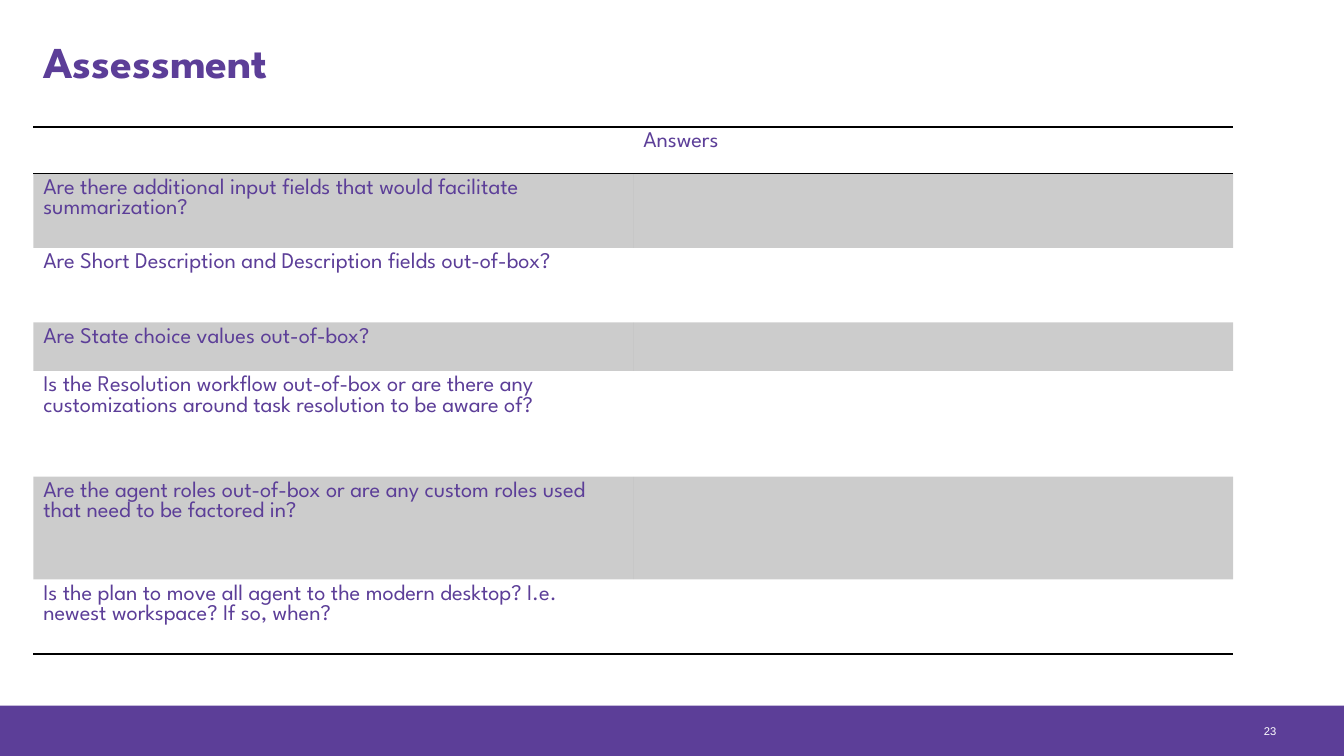
from lxml.etree import SubElement
from pptx import Presentation
from pptx.dml.color import RGBColor
from pptx.enum.shapes import MSO_SHAPE
from pptx.enum.text import MSO_ANCHOR, PP_ALIGN
from pptx.oxml.ns import qn
from pptx.util import Inches, Pt

PURPLE = RGBColor(0x5C, 0x3E, 0x98)
WHITE = RGBColor(0xFF, 0xFF, 0xFF)
BLACK = RGBColor(0x00, 0x00, 0x00)
PLAIN_TABLE_STYLE = "{2D5ABB26-0587-4C30-8999-92F81FD0307C}"
HEADING_FONT = {"name": "League Spartan", "size": Pt(31.5), "bold": True}
CELL_FONT = {"name": "League Spartan", "size": Pt(16), "bold": False}
NUMBER_FONT = {"name": "Arial", "size": Pt(8)}
ROWS = [
    (0.46, "", "Answers"),
    (0.74, "Are there additional input fields that would facilitate summarization?", ""),
    (0.74, "Are Short Description and Description fields out-of-box?", ""),
    (0.48, "Are State choice values out-of-box?", ""),
    (1.05, "Is the Resolution workflow out-of-box or are there any customizations "
           "around task resolution to be aware of?", ""),
    (1.02, "Are the agent roles out-of-box or are any custom roles used that need "
           "to be factored in?", ""),
    (0.74, "Is the plan to move all agent to the modern desktop? I.e. newest "
           "workspace? If so, when?", ""),
]


def write(frame, text, font, color, align=PP_ALIGN.LEFT):
    """Put one formatted paragraph into a text frame."""
    para = frame.paragraphs[0]
    para.alignment = align
    span = para.add_run()
    span.text = text
    for name, value in font.items():
        setattr(span.font, name, value)
    span.font.color.rgb = color


def add_title(page, text):
    """Place and format the title placeholder."""
    title = page.shapes.title
    place = {"left": 0.33, "top": 0.29, "width": 12.59, "height": 0.74}
    for name, value in place.items():
        setattr(title, name, Inches(value))
    title.text_frame.vertical_anchor = MSO_ANCHOR.TOP
    write(title.text_frame, text, HEADING_FONT, PURPLE)


def add_footer(page, number):
    """Draw the purple band and the page number on it."""
    band = page.shapes.add_shape(
        MSO_SHAPE.RECTANGLE, 0, Inches(7), Inches(13.33), Inches(0.51))
    band.shadow.inherit = False
    band.fill.solid()
    band.fill.fore_color.rgb = PURPLE
    band.line.fill.background()
    box = page.shapes.add_textbox(Inches(11.16), Inches(7), Inches(1.5), Inches(0.5))
    frame = box.text_frame
    frame.word_wrap = True
    frame.vertical_anchor = MSO_ANCHOR.MIDDLE
    frame.margin_right = 0
    write(frame, number, NUMBER_FONT, WHITE, PP_ALIGN.RIGHT)


def add_borders(cell, edges):
    """Rule the given edges of a cell in black."""
    properties = cell._tc.get_or_add_tcPr()
    for position, edge in enumerate(edges):
        line = properties.makeelement(qn(f"a:{edge}"), {"w": str(Pt(1))})
        properties.insert(position, line)
        fill = SubElement(line, qn("a:solidFill"))
        SubElement(fill, qn("a:srgbClr"), val=str(BLACK))


def fill_cell(cell, shaded):
    """Shade a cell in translucent black or leave it clear."""
    if not shaded:
        cell.fill.background()
        return
    cell.fill.solid()
    cell.fill.fore_color.rgb = BLACK
    color = cell._tc.tcPr.find(f"{qn('a:solidFill')}/{qn('a:srgbClr')}")
    SubElement(color, qn("a:alpha"), val="20000")


def add_questions(page):
    """Build the table of questions and answers."""
    height = sum(row[0] for row in ROWS)
    holder = page.shapes.add_table(
        len(ROWS), 2, Inches(0.33), Inches(1.26), Inches(11.9), Inches(height))
    table = holder.table
    table._tbl.tblPr.find(qn("a:tableStyleId")).text = PLAIN_TABLE_STYLE
    edges = {0: ("lnT", "lnB"), len(ROWS) - 1: ("lnB",)}
    for index, (row_height, *texts) in enumerate(ROWS):
        table.rows[index].height = Inches(row_height)
        for column, text in enumerate(texts):
            cell = table.cell(index, column)
            fill_cell(cell, index % 2 == 1)
            add_borders(cell, edges.get(index, ()))
            if text:
                write(cell.text_frame, text, CELL_FONT, PURPLE)


def main():
    """Build and save the assessment slide."""
    deck = Presentation()
    deck.slide_width, deck.slide_height = Inches(13.33), Inches(7.5)
    page = deck.slides.add_slide(deck.slide_layouts[5])
    add_footer(page, "23")
    add_title(page, "Assessment")
    add_questions(page)
    deck.save("out.pptx")


if __name__ == "__main__":
    main()
